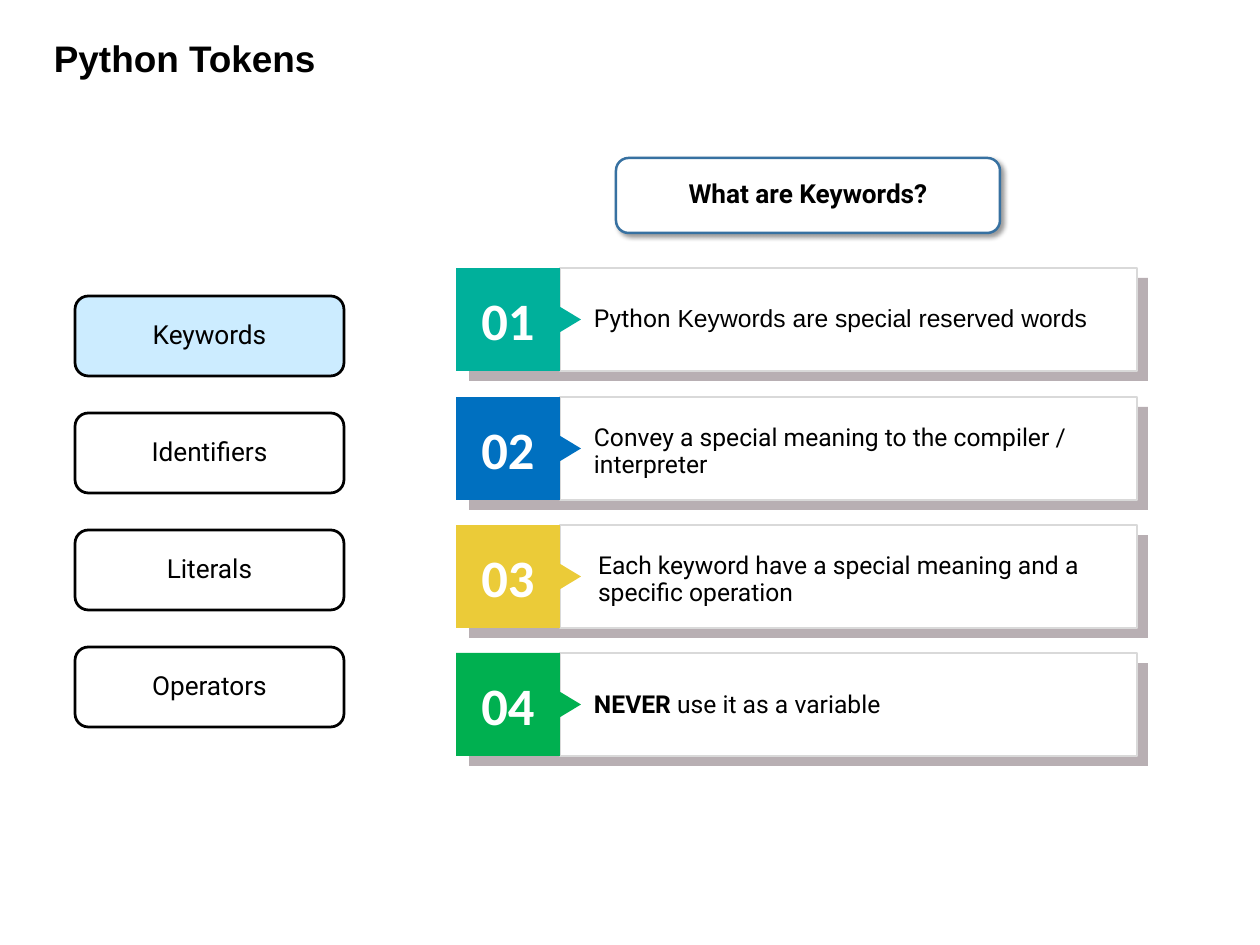
from lxml import etree
from pptx import Presentation
from pptx.dml.color import RGBColor
from pptx.enum.shapes import MSO_SHAPE as SHAPE
from pptx.enum.text import MSO_ANCHOR as ANCHOR, PP_ALIGN as ALIGN
from pptx.oxml import parse_xml
from pptx.oxml.ns import nsdecls
from pptx.util import Pt

PX = 10320  # EMU per px

BLACK = RGBColor(0x00, 0x00, 0x00)
WHITE = RGBColor(0xFF, 0xFF, 0xFF)
LIGHT_BLUE = RGBColor(0xCC, 0xEC, 0xFF)
STEEL_BLUE = RGBColor(0x37, 0x71, 0xA1)
TAUPE = RGBColor(0xB8, 0xAF, 0xB3)
LIGHT_GREY = RGBColor(0xD9, 0xD9, 0xD9)
TEAL = RGBColor(0x00, 0xB0, 0x9B)
BLUE = RGBColor(0x00, 0x70, 0xC0)
YELLOW = RGBColor(0xEB, 0xCB, 0x38)
GREEN = RGBColor(0x00, 0xB0, 0x50)

TOKENS = ["Keywords", "Identifiers", "Literals", "Operators"]

# card top, colour, text box (left, top within card, width, height),
# runs (text, font, bold)
CARDS = [
    (268, TEAL, (594, -10, 524, 79),
     [("Python", "Roboto", False),
      (" Keywords are special reserved words", "Arial", False)]),
    (397, BLUE, (594, 7, 543, 79),
     [("Convey a special meaning to the compiler / interpreter", "Roboto", False)]),
    (525, YELLOW, (598, 7, 524, 79),
     [("Each keyword have a special meaning and a specific operation",
       "Roboto", False)]),
    (653, GREEN, (594, 25, 524, 45),
     [("NEVER", "Roboto", True), (" use it as a variable", "Roboto", False)]),
]


def px(*values):
    return [v * PX for v in values]


def style_run(r, size, font, color=BLACK, bold=False):
    r.font.size = Pt(size)
    r.font.name = font
    r.font.color.rgb = color
    r.font.bold = bold


def add_box(shapes, kind, box, fill, line=None, width=1):
    sp = shapes.add_shape(kind, *px(*box))
    sp.shadow.inherit = False
    sp.fill.solid()
    sp.fill.fore_color.rgb = fill
    if line is None:
        sp.line.fill.background()
    else:
        sp.line.color.rgb = line
        sp.line.width = Pt(width)
    return sp


def set_label(sp, text, size, font, color=BLACK, bold=False, spacing=0.9):
    tf = sp.text_frame
    tf.text = text
    tf.vertical_anchor = ANCHOR.MIDDLE
    p = tf.paragraphs[0]
    p.alignment = ALIGN.CENTER
    p.line_spacing = spacing
    style_run(p.runs[0], size, font, color, bold)


def add_drop_shadow(sp):
    effects = sp._element.spPr.find("{*}effectLst")
    effects.append(parse_xml(
        f'<a:outerShdw {nsdecls("a")} blurRad="{Pt(4)}" dist="{Pt(3)}" '
        'dir="2700000" algn="tl" rotWithShape="0"><a:srgbClr val="000000">'
        '<a:alpha val="40000"/></a:srgbClr></a:outerShdw>'))


def add_title(s, text):
    sp = s.shapes.title
    sp.left, sp.top, sp.width, sp.height = px(45, 36, 331, 50)
    tf = sp.text_frame
    tf.text = text
    tf.vertical_anchor = ANCHOR.TOP
    p = tf.paragraphs[0]
    p.alignment = ALIGN.LEFT
    p.line_spacing = 0.9
    style_run(p.runs[0], 30, "Arial", bold=True)


def add_card_text(shapes, box, runs):
    tf = shapes.add_textbox(*px(*box)).text_frame
    tf.word_wrap = True
    tf.vertical_anchor = ANCHOR.BOTTOM
    tf.margin_left = 0
    p = tf.paragraphs[0]
    p.line_spacing = 0.9
    for text, font, bold in runs:
        r = p.add_run()
        r.text = text
        style_run(r, 20, font, bold=bold)


def add_card(s, number, top, color, text_box, runs):
    shapes = s.shapes.add_group_shape().shapes
    add_box(shapes, SHAPE.RECTANGLE, (469, top + 10, 679, 103), TAUPE)
    add_box(shapes, SHAPE.RECTANGLE, (560, top, 577, 103), WHITE, LIGHT_GREY)
    tile = add_box(shapes, SHAPE.RECTANGLE, (456, top, 104, 103), color)
    set_label(tile, f"{number:02d}", 42.7, "Calibri", WHITE, True, 1.0)
    pointer = add_box(shapes, SHAPE.ISOSCELES_TRIANGLE,
                      (549, top + 37, 35, 29), color)
    pointer.rotation = 90
    left, offset, width, height = text_box
    add_card_text(shapes, (left, top + offset, width, height), runs)


def main():
    prs = Presentation()
    prs.slide_width, prs.slide_height = px(1260, 945)
    s = prs.slides.add_slide(prs.slide_layouts[5])
    add_title(s, "Python Tokens")

    # Token list, with the current topic highlighted
    for i, token in enumerate(TOKENS):
        sp = add_box(s.shapes, SHAPE.ROUNDED_RECTANGLE, (75, 296 + 117 * i, 269, 80),
                     LIGHT_BLUE if i == 0 else WHITE, BLACK, 2.25)
        set_label(sp, token, 21.3, "Roboto")

    # Question above the cards
    question = add_box(s.shapes, SHAPE.ROUNDED_RECTANGLE, (616, 158, 384, 75),
                       WHITE, STEEL_BLUE, 2)
    add_drop_shadow(question)
    set_label(question, "What are Keywords?", 21.3, "Roboto", bold=True)

    # Numbered cards
    for number, card in enumerate(CARDS, 1):
        add_card(s, number, *card)

    prs.save("out.pptx")


if __name__ == "__main__":
    main()
